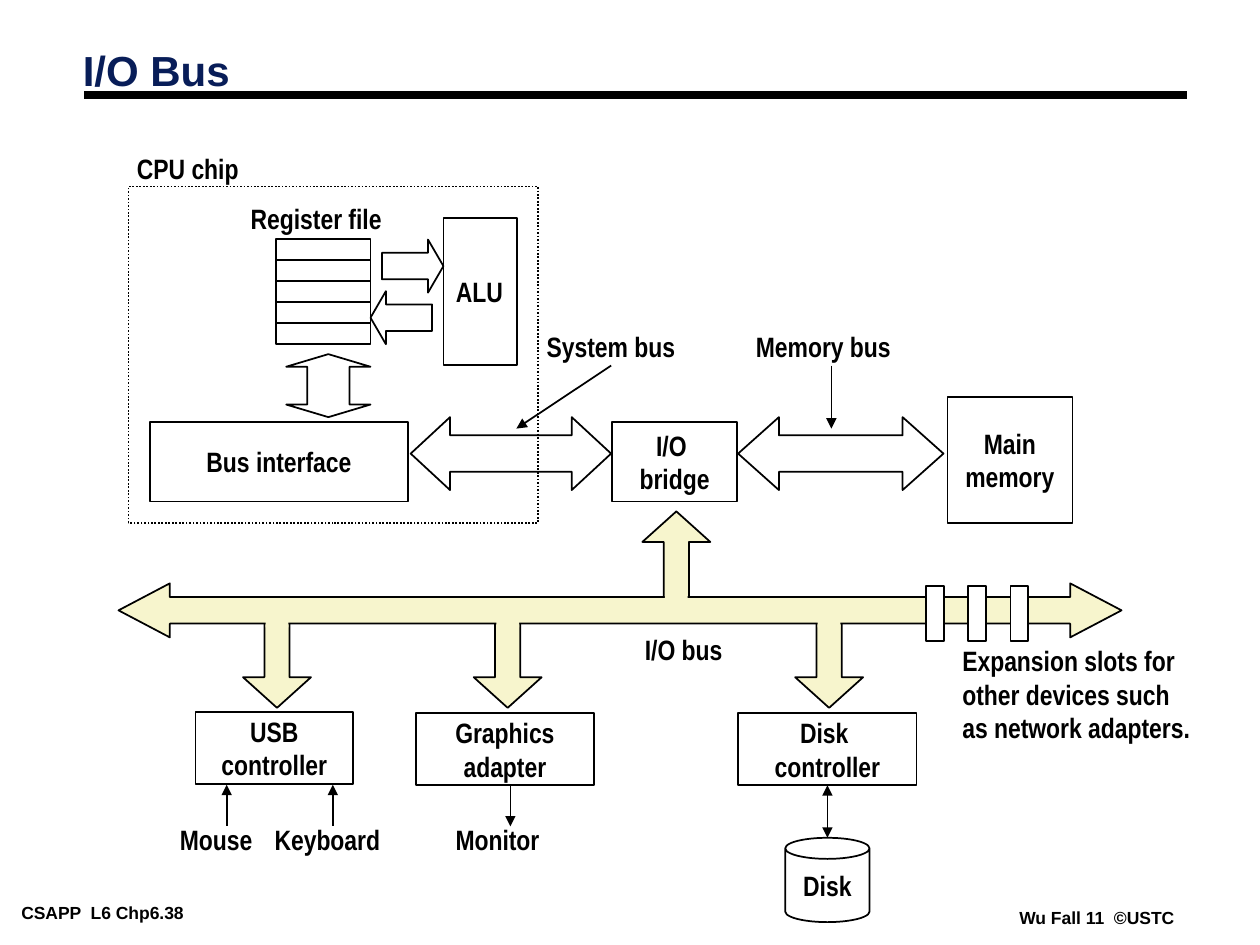
from lxml import etree
from pptx import Presentation
from pptx.dml.color import RGBColor
from pptx.enum.dml import MSO_LINE
from pptx.enum.shapes import MSO_CONNECTOR, MSO_SHAPE
from pptx.enum.text import MSO_ANCHOR, PP_ALIGN
from pptx.oxml.ns import qn
from pptx.util import Cm, Pt

RECT, CAN = MSO_SHAPE.RECTANGLE, MSO_SHAPE.CAN
WIDE, TALL = MSO_SHAPE.LEFT_RIGHT_ARROW, MSO_SHAPE.UP_DOWN_ARROW
LEFT_ARROW, RIGHT_ARROW = MSO_SHAPE.LEFT_ARROW, MSO_SHAPE.RIGHT_ARROW
UP_ARROW, DOWN_ARROW = MSO_SHAPE.UP_ARROW, MSO_SHAPE.DOWN_ARROW
LEFT, CENTER = PP_ALIGN.LEFT, PP_ALIGN.CENTER
TOP, MIDDLE = MSO_ANCHOR.TOP, MSO_ANCHOR.MIDDLE
STRAIGHT, DOTTED = MSO_CONNECTOR.STRAIGHT, MSO_LINE.ROUND_DOT

BLACK = RGBColor(0x00, 0x00, 0x00)
WHITE = RGBColor(0xFF, 0xFF, 0xFF)
NAVY = RGBColor(0x08, 0x1D, 0x58)
CREAM = RGBColor(0xF7, 0xF5, 0xCD)

UNITS = [
    ("Main\nmemory", (19.1, 8, 2.52, 2.54), CENTER),
    ("I/O \nbridge", (12.34, 8.51, 2.52, 1.6), CENTER),
    ("Bus interface", (3.02, 8.51, 5.21, 1.6), CENTER),
    ("ALU", (8.94, 4.39, 1.48, 2.97), LEFT),
    ("Disk \ncontroller", (14.88, 14.38, 3.6, 1.45), CENTER),
    ("Graphics\nadapter", (8.38, 14.38, 3.6, 1.45), CENTER),
    ("USB\ncontroller", (3.94, 14.35, 3.18, 1.45), CENTER),
]
LABELS = [
    ("CPU chip", (2.51, 2.92, 2.67, 0.94), LEFT),
    ("Register file", (4.75, 3.93, 3.25, 0.94), CENTER),
    ("System bus", (10.77, 6.52, 3.2, 0.94), LEFT),
    ("Memory bus", (14.99, 6.52, 3.33, 0.94), LEFT),
    ("I/O bus", (12.75, 12.62, 2.3, 0.94), LEFT),
    ("Mouse", (3.23, 16.46, 2.26, 0.94), CENTER),
    ("Keyboard", (5.18, 16.46, 2.84, 0.94), CENTER),
    ("Monitor", (8.79, 16.46, 2.48, 0.94), CENTER),
]
EXPANSION = "Expansion slots for\nother devices such\nas network adapters."
FOOTERS = [
    ("CSAPP  L6 Chp6.38", (0.25, 18.11, 4.95, 0.56)),
    ("Wu Fall 11  ©USTC", (20.37, 18.21, 3.51, 0.56)),
]
BUS_ARROWS = [
    (WIDE, (14.88, 8.41, 4.14, 1.47), (0.5, 0.56)),
    (WIDE, (8.28, 8.41, 4.04, 1.47), (0.5, 0.54)),
    (RIGHT_ARROW, (7.7, 4.83, 1.24, 1.07), (0.5, 0.29)),
    (LEFT_ARROW, (7.47, 5.87, 1.24, 1.07), (0.5, 0.29)),
    (TALL, (5.77, 7.14, 1.7, 1.27), (0.5, 0.2)),
]
BRANCHES = [
    (UP_ARROW, 12.95, 10.31, 12.01),
    (DOWN_ARROW, 16.03, 12.37, 12.22),
    (DOWN_ARROW, 9.55, 12.37, 12.22),
    (DOWN_ARROW, 4.9, 12.37, 12.22),
]
BRANCH_WIDTH, BRANCH_HEIGHT = 1.37, 1.9
JOINT_WIDTH, JOINT_HEIGHT = 0.46, 0.43
POINTERS = [
    ((12.32, 7.37), (10.41, 8.64), ("tailEnd",)),
    ((16.76, 7.37), (16.76, 8.64), ("tailEnd",)),
    ((4.57, 15.82), (4.57, 16.66), ("headEnd",)),
    ((6.71, 15.82), (6.71, 16.66), ("headEnd",)),
    ((10.29, 15.82), (10.29, 16.66), ("tailEnd",)),
]

deck = Presentation()
deck.slide_width, deck.slide_height = Cm(25.4), Cm(19.05)
page = deck.slides.add_slide(deck.slide_layouts[6])


def write(box, text, size=16, font="Arial Narrow", color=BLACK, align=LEFT,
          anchor=MIDDLE, wrap=False, inset=(0.25, 0.13), spacing=None):
    frame = box.text_frame
    frame.word_wrap, frame.vertical_anchor = wrap, anchor
    frame.margin_left = frame.margin_right = Cm(inset[0])
    frame.margin_top = frame.margin_bottom = Cm(inset[1])
    for index, line in enumerate(text.split("\n")):
        para = frame.add_paragraph() if index else frame.paragraphs[0]
        para.alignment, para.line_spacing = align, spacing
        span = para.add_run()
        span.text = line
        span.font.size, span.font.name, span.font.bold = Pt(size), font, True
        span.font.color.rgb = color


def add_label(text, place, **style):
    write(page.shapes.add_textbox(*map(Cm, place)), text, **style)


def draw(kind, place, fill=None, outlined=True, adjust=()):
    box = page.shapes.add_shape(kind, *map(Cm, place))
    box.shadow.inherit = False
    first = len(box.adjustments) - len(adjust)
    for index, value in enumerate(adjust, first):
        box.adjustments[index] = value
    if fill is None:
        box.fill.background()
    else:
        box.fill.solid()
        box.fill.fore_color.rgb = fill
    if outlined:
        box.line.color.rgb, box.line.width = BLACK, Pt(1)
    else:
        box.line.fill.background()
    return box


def connect(start, end, heads=(), width=1):
    line = page.shapes.add_connector(STRAIGHT, *map(Cm, start + end))
    line.line.color.rgb, line.line.width = BLACK, Pt(width)
    for head in heads:
        etree.SubElement(line.line._get_or_add_ln(), qn("a:" + head), type="triangle")
    etree.SubElement(line._element.spPr, qn("a:effectLst"))
    return line


for text, place in FOOTERS:
    add_label(text, place, size=10, font="Arial", wrap=True, anchor=TOP, inset=(0.18, 0.08))
connect((1.7, 1.91), (23.93, 1.91), width=4.5)
add_label("I/O Bus", (1.42, 0.91, 21.08, 1.14), size=24, font="Arial", color=NAVY,
          wrap=True, spacing=0.87)

cpu = draw(RECT, (2.59, 3.76, 8.26, 6.78))
cpu.line.dash_style = DOTTED
for row in range(5):
    draw(RECT, (5.56, 4.82 + 0.42 * row, 1.91, 0.43))
for kind, place, adjust in BUS_ARROWS:
    draw(kind, place, adjust=adjust)
for kind, left, top, _ in BRANCHES:
    draw(kind, (left, top, BRANCH_WIDTH, BRANCH_HEIGHT), CREAM, adjust=(0.37, 0.45))

units = {}
for text, place, align in UNITS:
    units[text] = draw(RECT, place)
    write(units[text], text, align=align)
disk = draw(CAN, (15.83, 16.89, 1.7, 1.7), adjust=(0.25,))
write(disk, "Disk", align=CENTER)

draw(WIDE, (2.39, 11.76, 20.22, 1.09), CREAM, adjust=(0.49, 0.95))
for _, left, _, joint_top in BRANCHES:
    joint_left = left + (BRANCH_WIDTH - JOINT_WIDTH) / 2
    draw(RECT, (joint_left, joint_top, JOINT_WIDTH, JOINT_HEIGHT), CREAM, outlined=False)
for slot in range(3):
    draw(RECT, (18.67 + 0.85 * slot, 11.81, 0.36, 1.12), WHITE)

for text, place, align in LABELS:
    add_label(text, place, align=align)
add_label(EXPANSION, (19.15, 12.85, 5.11, 2.97), anchor=TOP)
for start, end, heads in POINTERS:
    connect(start, end, heads)
disk_link = connect((16.68, 15.83), (16.68, 16.89), ("headEnd", "tailEnd"))
disk_link.begin_connect(units["Disk \ncontroller"], 2)

deck.save("out.pptx")
